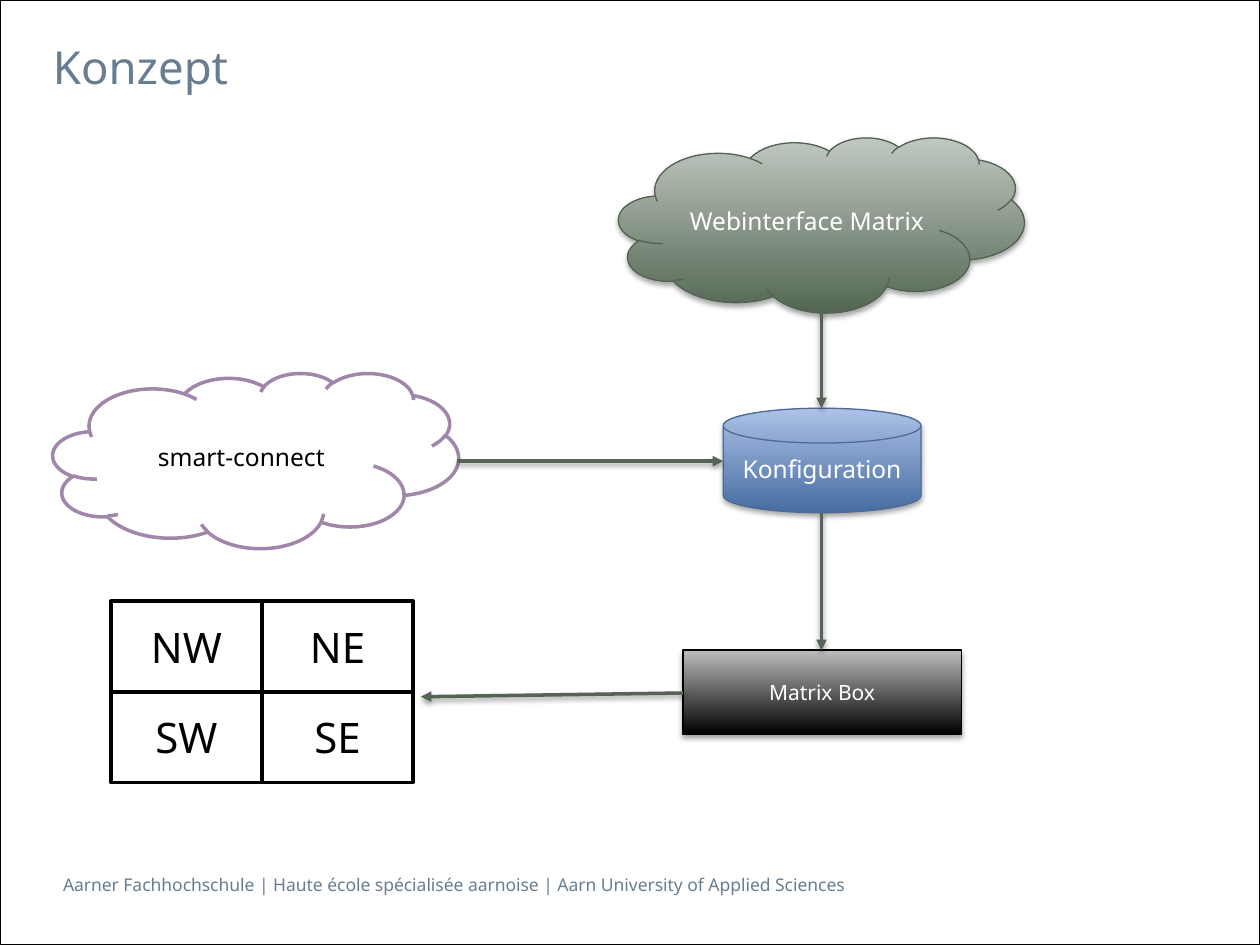
from lxml.etree import SubElement
from pptx import Presentation
from pptx.dml.color import RGBColor
from pptx.enum.shapes import MSO_CONNECTOR, MSO_SHAPE
from pptx.enum.text import MSO_ANCHOR, MSO_AUTO_SIZE, PP_ALIGN
from pptx.oxml.ns import qn
from pptx.util import Inches, Pt

FONT = "Noto Sans"
BLACK = RGBColor(0x00, 0x00, 0x00)
WHITE = RGBColor(0xFF, 0xFF, 0xFF)
SLATE = RGBColor(0x69, 0x7D, 0x91)
PURPLE = RGBColor(0xA0, 0x87, 0xAA)
GREEN_DARK = RGBColor(0x53, 0x66, 0x53)
GREEN_LIGHT = RGBColor(0xC0, 0xC9, 0xC0)
GREEN_EDGE = RGBColor(0x53, 0x62, 0x53)
BLUE_DARK = RGBColor(0x46, 0x6C, 0xA1)
BLUE_LIGHT = RGBColor(0xAD, 0xC2, 0xE8)
BLUE_EDGE = RGBColor(0x4D, 0x6B, 0x94)
GREY_LIGHT = RGBColor(0xBD, 0xBD, 0xBD)
ARROW_GREEN = RGBColor(0x55, 0x64, 0x55)


def write(frame, text, size, color, align, anchor):
    frame.word_wrap = True
    frame.vertical_anchor = anchor
    paragraph = frame.paragraphs[0]
    paragraph.alignment = align
    run = paragraph.add_run()
    run.text = text
    for name, value in {"name": FONT, "size": Pt(size)}.items():
        setattr(run.font, name, value)
    run.font.color.rgb = color


def add_shadow(effects, distance, opacity):
    shadow = SubElement(effects, qn("a:outerShdw"), blurRad=str(Pt(3.1)),
                        dist=str(Pt(distance)), dir="5400000", rotWithShape="0")
    black = SubElement(shadow, qn("a:srgbClr"), val="000000")
    SubElement(black, qn("a:alpha"), val=str(opacity * 1000))


prs = Presentation()
prs.slide_width, prs.slide_height = Inches(10), Inches(7.5)
slide = prs.slides.add_slide(prs.slide_layouts[5])
shapes = slide.shapes

page_border = shapes.add_shape(MSO_SHAPE.RECTANGLE, 0, 0, prs.slide_width, prs.slide_height)
page_border.shadow.inherit = False
page_border.fill.background()
page_border.line.color.rgb = BLACK
page_border.line.width = Pt(0.5)

title = shapes.title
title.left, title.top, title.width, title.height = map(Inches, (0.42, 0.26, 8.86, 0.59))
footer = shapes.add_textbox(*map(Inches, (0.5, 6.89, 7.31, 0.27)))
insets = {"margin_left": 0, "margin_right": 0,
          "margin_top": Inches(0.05), "margin_bottom": Inches(0.05)}
for caption, text, size, fit in [
    (title, "Konzept", 26, MSO_AUTO_SIZE.NONE),
    (footer, "Aarner Fachhochschule | Haute école spécialisée aarnoise | "
             "Aarn University of Applied Sciences", 10, MSO_AUTO_SIZE.SHAPE_TO_FIT_TEXT),
]:
    frame = caption.text_frame
    for name, value in insets.items():
        setattr(frame, name, value)
    write(frame, text, size, SLATE, PP_ALIGN.LEFT, MSO_ANCHOR.TOP)
    frame.auto_size = fit

nodes = [
    ("smart-connect", MSO_SHAPE.CLOUD, (0.42, 2.96, 3.22, 1.39), [WHITE], PURPLE, 2, 14, BLACK),
    ("Webinterface Matrix", MSO_SHAPE.CLOUD, (4.91, 1.09, 3.22, 1.39),
     [GREEN_DARK, GREEN_LIGHT], GREEN_EDGE, 0.75, 14, WHITE),
    ("Konfiguration", MSO_SHAPE.FLOWCHART_MAGNETIC_DISK, (5.74, 3.24, 1.57, 0.83),
     [BLUE_DARK, BLUE_LIGHT], BLUE_EDGE, 0.75, 14, WHITE),
    ("Matrix Box", MSO_SHAPE.RECTANGLE, (5.42, 5.16, 2.21, 0.67),
     [BLACK, GREY_LIGHT], BLACK, 0.75, 12, WHITE),
]
for row, quadrants in enumerate([("NW", "NE"), ("SW", "SE")]):
    for column, quadrant in enumerate(quadrants):
        place = (0.88 + 1.2 * column, 4.77 + 0.72 * row, 1.2, 0.72)
        nodes.append((quadrant, MSO_SHAPE.RECTANGLE, place, [WHITE], BLACK, 2, 24, BLACK))

for text, kind, place, fills, edge, weight, size, color in nodes:
    node = shapes.add_shape(kind, *map(Inches, place))
    node.shadow.inherit = False
    if len(fills) == 1:
        node.fill.solid()
        node.fill.fore_color.rgb = fills[0]
    else:
        node.fill.gradient()
        node.fill.gradient_angle = 90
        for stop, shade in zip(node.fill.gradient_stops, fills):
            stop.color.rgb = shade
        add_shadow(node._element.spPr.find(qn("a:effectLst")), 1.8, 35)
    node.line.color.rgb = edge
    node.line.width = Pt(weight)
    write(node.text_frame, text, size, color, PP_ALIGN.CENTER, MSO_ANCHOR.MIDDLE)

for ends in [
    (3.63, 3.66, 5.74, 3.66),
    (6.52, 2.47, 6.52, 3.24),
    (6.52, 4.07, 6.52, 5.16),
    (5.42, 5.5, 3.34, 5.53),
]:
    arrow = shapes.add_connector(MSO_CONNECTOR.STRAIGHT, *map(Inches, ends))
    arrow.line.color.rgb = ARROW_GREEN
    arrow.line.width = Pt(2)
    properties = arrow._element.spPr
    SubElement(properties.find(qn("a:ln")), qn("a:tailEnd"), type="triangle")
    add_shadow(SubElement(properties, qn("a:effectLst")), 1.6, 38)

prs.save("out.pptx")
